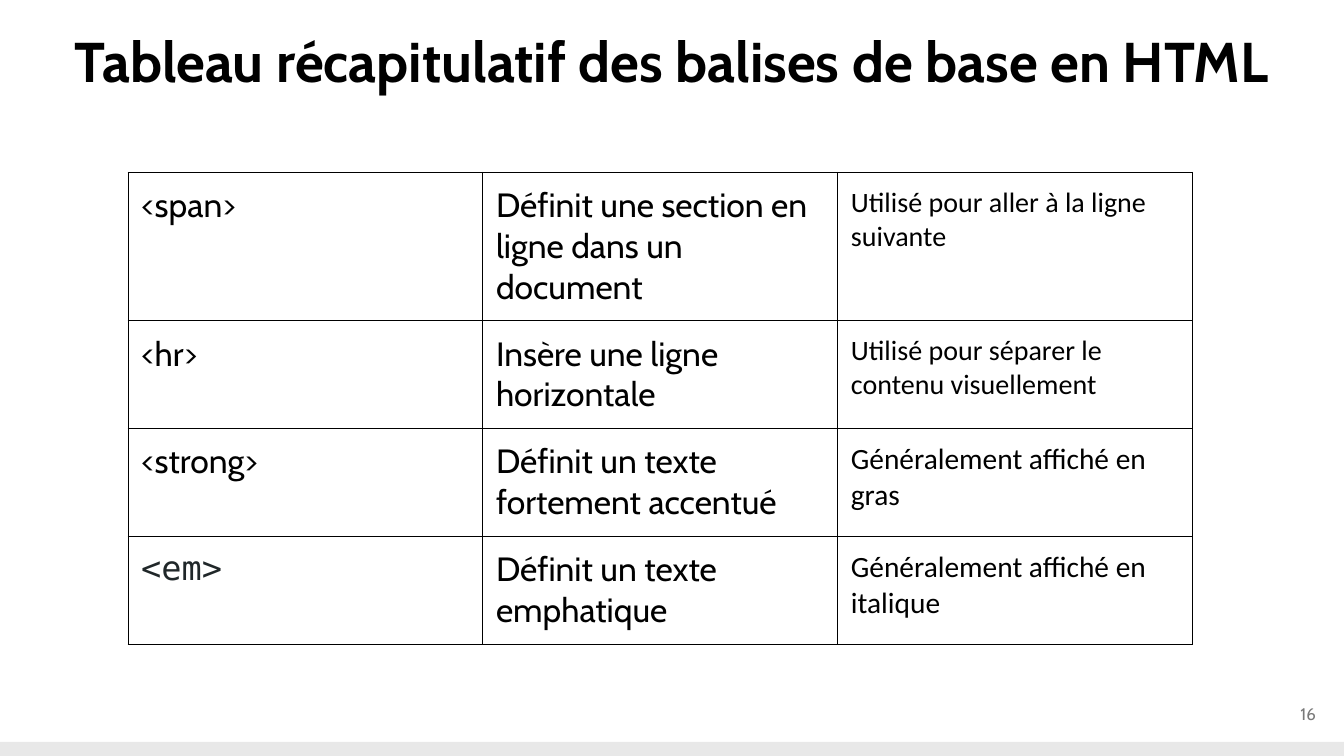
from lxml import etree
from pptx import Presentation
from pptx.dml.color import RGBColor
from pptx.enum.shapes import MSO_SHAPE
from pptx.enum.text import MSO_ANCHOR, PP_ALIGN
from pptx.oxml.ns import qn
from pptx.util import Inches, Pt

RECT = MSO_SHAPE.RECTANGLE
TOP, MIDDLE = MSO_ANCHOR.TOP, MSO_ANCHOR.MIDDLE
LEFT, CENTER, RIGHT = PP_ALIGN.LEFT, PP_ALIGN.CENTER, PP_ALIGN.RIGHT

TITLE = "Tableau récapitulatif des balises de base en HTML"
PAGE = "16"
BLACK, GREY, BAND = "000000", "797979", "E8E8E8"
TAG = {"font": "Cabin", "size": 24}
CODE = {"font": "DejaVu Sans Mono", "size": 24, "color": "202729"}

# tag, tag format, definition, usage, usage size, row height
ROWS = [
    ("<span>", TAG, "Définit une section en ligne dans un document",
     "Utilisé pour aller à la ligne suivante", 20, 1.47),
    ("<hr>", TAG, "Insère une ligne horizontale",
     "Utilisé pour séparer le contenu visuellement", 20, 1.07),
    ("<strong>", TAG, "Définit un texte fortement accentué",
     "Généralement affiché en gras", 21, 1.07),
    ("<em>", CODE, "Définit un texte emphatique",
     "Généralement affiché en italique", 21, 1.07),
]
COL_W = 3.52
INSET = 0.13


def rgb(value):
    return RGBColor.from_string(value)


def write(tf, text, font="Cabin", size=24, color=BLACK, bold=False,
          align=LEFT, spacing=None):
    tf.word_wrap = True
    p = tf.paragraphs[0]
    p.alignment = align
    if spacing:
        p.line_spacing = spacing
    r = p.add_run()
    r.text = text
    r.font.name = font
    r.font.size = Pt(size)
    r.font.bold = bold
    r.font.color.rgb = rgb(color)


def set_margins(target, inset):
    target.margin_left = target.margin_right = Inches(inset)
    target.margin_top = target.margin_bottom = Inches(inset)


def add_text(slide, text, box, inset, anchor=TOP, **fmt):
    tf = slide.shapes.add_textbox(*map(Inches, box)).text_frame
    set_margins(tf, inset)
    tf.vertical_anchor = anchor
    write(tf, text, **fmt)


def add_borders(cell, color=BLACK, width=0.75):
    tc_pr = cell._tc.get_or_add_tcPr()
    for side in ("lnL", "lnR", "lnT", "lnB"):
        ln = etree.SubElement(tc_pr, qn(f"a:{side}"), w=str(Pt(width)))
        fill = etree.SubElement(ln, qn("a:solidFill"))
        etree.SubElement(fill, qn("a:srgbClr"), val=color)


def add_tag_table(slide):
    n_cols = 3
    height = sum(row[-1] for row in ROWS)
    table = slide.shapes.add_table(
        len(ROWS), n_cols, Inches(1.27), Inches(1.71),
        Inches(n_cols * COL_W), Inches(height)).table
    table.first_row = table.horz_banding = False
    for col in table.columns:
        col.width = Inches(COL_W)
    for i, (tag, tag_fmt, meaning, usage, usage_size, row_h) in enumerate(ROWS):
        table.rows[i].height = Inches(row_h)
        contents = [(tag, tag_fmt), (meaning, TAG),
                    (usage, {"font": "Calibri", "size": usage_size})]
        for j, (text, fmt) in enumerate(contents):
            cell = table.cell(i, j)
            set_margins(cell, INSET)
            add_borders(cell)
            cell.fill.background()
            write(cell.text_frame, text, **fmt)


def main():
    prs = Presentation()
    prs.slide_width, prs.slide_height = Inches(13.33), Inches(7.5)
    slide = prs.slides.add_slide(prs.slide_layouts[6])

    band = slide.shapes.add_shape(
        RECT, 0, Inches(7.36), prs.slide_width, Inches(0.14))
    band.shadow.inherit = False
    band.fill.solid()
    band.fill.fore_color.rgb = rgb(BAND)
    band.line.fill.background()

    add_text(slide, TITLE, (0.45, 0.21, 12.42, 0.8), INSET,
             size=40, bold=True, align=CENTER, spacing=0.9)
    add_text(slide, PAGE, (12.35, 6.8, 0.8, 0.57), 0.1, MIDDLE,
             size=12, color=GREY, align=RIGHT)
    add_tag_table(slide)
    prs.save("out.pptx")


if __name__ == "__main__":
    main()
